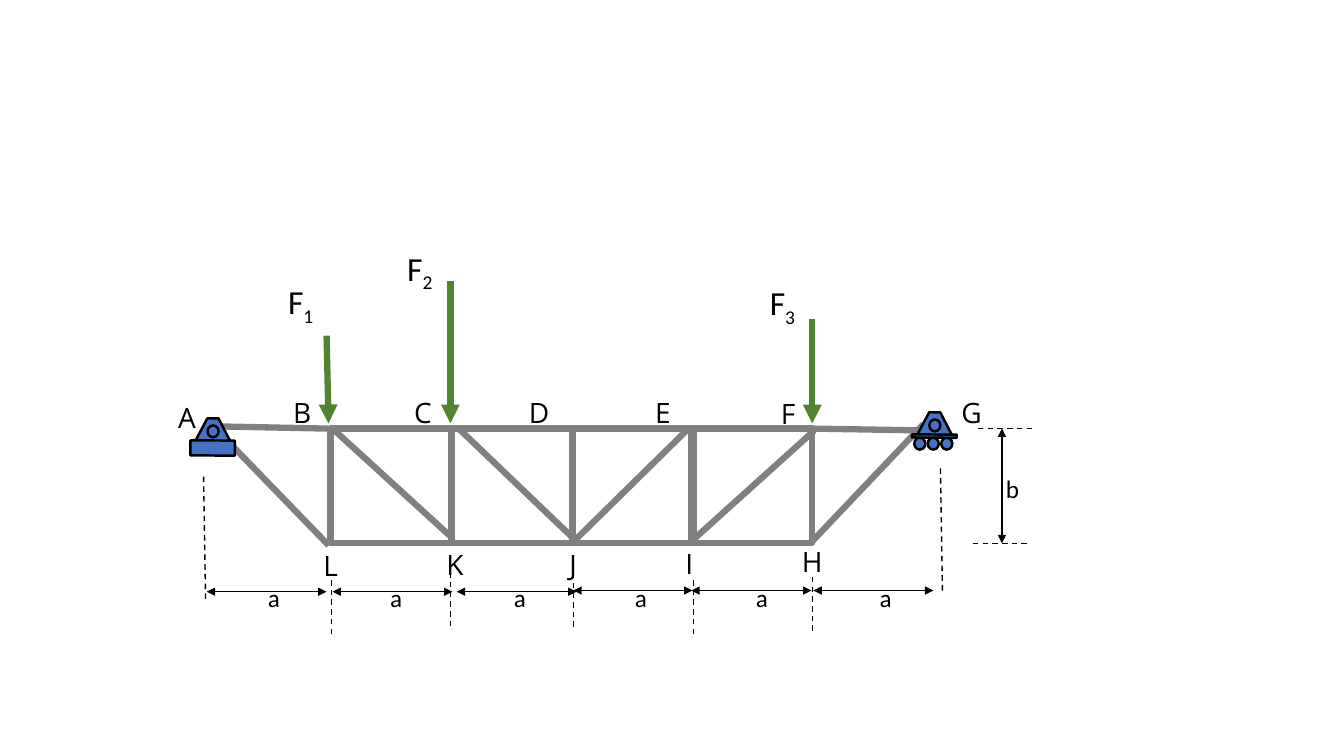
import pptx
import pptx.dml.color
import pptx.enum.dml
import pptx.enum.shapes
import pptx.oxml.ns
import pptx.util
from lxml import etree
from pptx.util import Cm

SHAPE = pptx.enum.shapes.MSO_SHAPE
BLACK, GREY, GREEN, BLUE = "000000", "808080", "548235", "4472C4"


def color(hex_string):
    return pptx.dml.color.RGBColor.from_string(hex_string)


class TrussSlide:
    """Holds the drawing style and the current slide."""

    label_font, value_font = "Open Sans", "Calibri"
    thick, outline, thin = 4.5, 1.75, 1

    def __init__(self, deck):
        self.slide = deck.slides.add_slide(deck.slide_layouts[6])

    def stroke(self, item, hex_string, width):
        item.line.color.rgb = color(hex_string)
        item.line.width = pptx.util.Pt(width)

    def line(self, x1, y1, x2, y2, hex_string, width, heads=(), dashed=False):
        connector = self.slide.shapes.add_connector(
            pptx.enum.shapes.MSO_CONNECTOR.STRAIGHT, Cm(x1), Cm(y1), Cm(x2), Cm(y2))
        self.stroke(connector, hex_string, width)
        if dashed:
            connector.line.dash_style = pptx.enum.dml.MSO_LINE.DASH
        outline = connector.line._get_or_add_ln()
        for head in heads:
            etree.SubElement(outline, pptx.oxml.ns.qn("a:" + head), type="triangle")
        etree.SubElement(connector._element.spPr, pptx.oxml.ns.qn("a:effectLst"))

    def member(self, *ends):
        self.line(*ends, GREY, self.thick)

    def force(self, *ends):
        self.line(*ends, GREEN, self.thick, ["tailEnd"])

    def dimension(self, *ends):
        self.line(*ends, BLACK, self.thin, ["headEnd", "tailEnd"])

    def guide(self, *ends):
        self.line(*ends, BLACK, self.thin, dashed=True)

    def shape(self, shapes, kind, left, top, width, height, fill, hex_string, weight):
        shape = shapes.add_shape(kind, Cm(left), Cm(top), Cm(width), Cm(height))
        shape.shadow.inherit = False
        if fill:
            shape.fill.solid()
            shape.fill.fore_color.rgb = color(fill)
        else:
            shape.fill.background()
        self.stroke(shape, hex_string, weight)
        return shape

    def panel(self, left, top, width, height):
        self.shape(self.slide.shapes, SHAPE.RECTANGLE, left, top, width, height,
                   None, GREY, self.thick)

    def support(self, left, top, base_height, wheels, rotation):
        group = self.slide.shapes.add_group_shape()
        parts = [(SHAPE.OVAL, 0.05 + 0.34 * i, 0.64, 0.28, 0.3) for i in range(wheels)]
        parts += [(SHAPE.TRAPEZOID, 0.09, 0, 0.95, 0.64),
                  (SHAPE.OVAL, 0.43, 0.18, 0.28, 0.3),
                  (SHAPE.RECTANGLE, 0, 0.56, 1.12, base_height)]
        for kind, dx, dy, width, height in parts:
            part = self.shape(group.shapes, kind, left + dx, top + dy, width, height,
                              BLUE, BLACK, self.outline)
            part.rotation = rotation
            if kind == SHAPE.TRAPEZOID:
                part.adjustments[0] = 0.525

    def text(self, text, left, top, width, height, size, font, subscript=""):
        box = self.slide.shapes.add_textbox(Cm(left), Cm(top), Cm(width), Cm(height))
        frame = box.text_frame
        frame.word_wrap = True
        frame.margin_right = 0
        frame.text = text
        para = frame.paragraphs[0]
        if subscript:
            span = para.add_run()
            span.text = subscript
            span.font._element.set("baseline", "-25000")
        for span in para.runs:
            span.font.size = pptx.util.Pt(size)
            span.font.name = font
            span.font.color.rgb = color(BLACK)


deck = pptx.Presentation()
deck.slide_width, deck.slide_height = Cm(33.87), Cm(19.05)
truss = TrussSlide(deck)
chord_top, chord_bottom = 10.8, 13.69

# Panels and members
for left in (8.33, 11.38, 14.43, 17.42):
    truss.panel(left, chord_top, 3.05, chord_bottom - chord_top)
for ends in [(5.26, 10.74, 8.26, 10.8), (20.47, 10.8, 23.5, 10.85),
             (5.31, 10.67, 8.28, 13.74), (8.38, 10.8, 11.38, 13.54),
             (11.56, 10.8, 14.58, 13.69), (17.35, 10.8, 14.43, 13.67),
             (20.52, 10.85, 17.48, 13.59), (20.47, 13.64, 23.27, 10.69)]:
    truss.member(*ends)

# Fixed support at A and roller support at G
truss.support(4.8, 10.54, 0.38, 0, 0.4)
truss.support(22.99, 10.39, 0.08, 3, 0.5)

# Joint names
for name, left, top, width in [
        ("A", 4.24, 9.98, 1.02), ("B", 7.14, 9.83, 0.91), ("C", 10.19, 9.83, 1.24),
        ("D", 13.08, 9.83, 1.27), ("E", 16.26, 9.83, 1.12), ("F", 19.43, 9.86, 1.12),
        ("G", 23.98, 9.83, 1.24), ("H", 19.96, 13.59, 1.04), ("I", 17.02, 13.64, 0.71),
        ("J", 14.1, 13.67, 0.74), ("K", 11, 13.67, 0.97), ("L", 7.9, 13.69, 0.91)]:
    truss.text(name, left, top, width, 1.12, 20, truss.label_font)

# Forces
for number, left, top, ends in [("1", 7.01, 6.96, (8.23, 8.46, 8.28, 10.67)),
                                ("2", 10.01, 6.12, (11.35, 7.09, 11.35, 10.67)),
                                ("3", 19.15, 6.99, (20.47, 8.03, 20.47, 10.67))]:
    truss.force(*ends)
    truss.text("F", left, top, 1.19, 1.27, 24, truss.value_font, number)

# Bay widths
for left, right, y, text_left in [
        (5.21, 8.23, 14.91, 6.5), (8.38, 11.4, 14.91, 9.58), (11.51, 14.53, 14.91, 12.7),
        (14.45, 17.45, 14.88, 15.75), (17.42, 20.45, 14.88, 18.8),
        (20.5, 23.52, 14.88, 21.92)]:
    truss.dimension(right, y, left, y)
    truss.text("a", text_left, 14.54, 0.81, 1.02, 18, truss.value_font)

# Truss height
truss.dimension(25.25, chord_top, 25.25, chord_bottom)
truss.text("b", 25.1, 11.79, 0.86, 1.02, 18, truss.value_font)
truss.guide(26.01, chord_top, 24.64, chord_top)
truss.guide(25.88, chord_bottom, 24.51, chord_bottom)

# Guides below the supports and joints
truss.guide(5.18, 15.09, 5.13, 11.99)
truss.guide(23.75, 14.88, 23.7, 11.79)
for x, bottom in [(8.36, 15.98), (11.35, 15.78), (14.45, 15.8), (17.48, 15.98),
                  (20.47, 15.9)]:
    truss.guide(x, bottom, x, bottom - 1.36)

deck.save("out.pptx")
